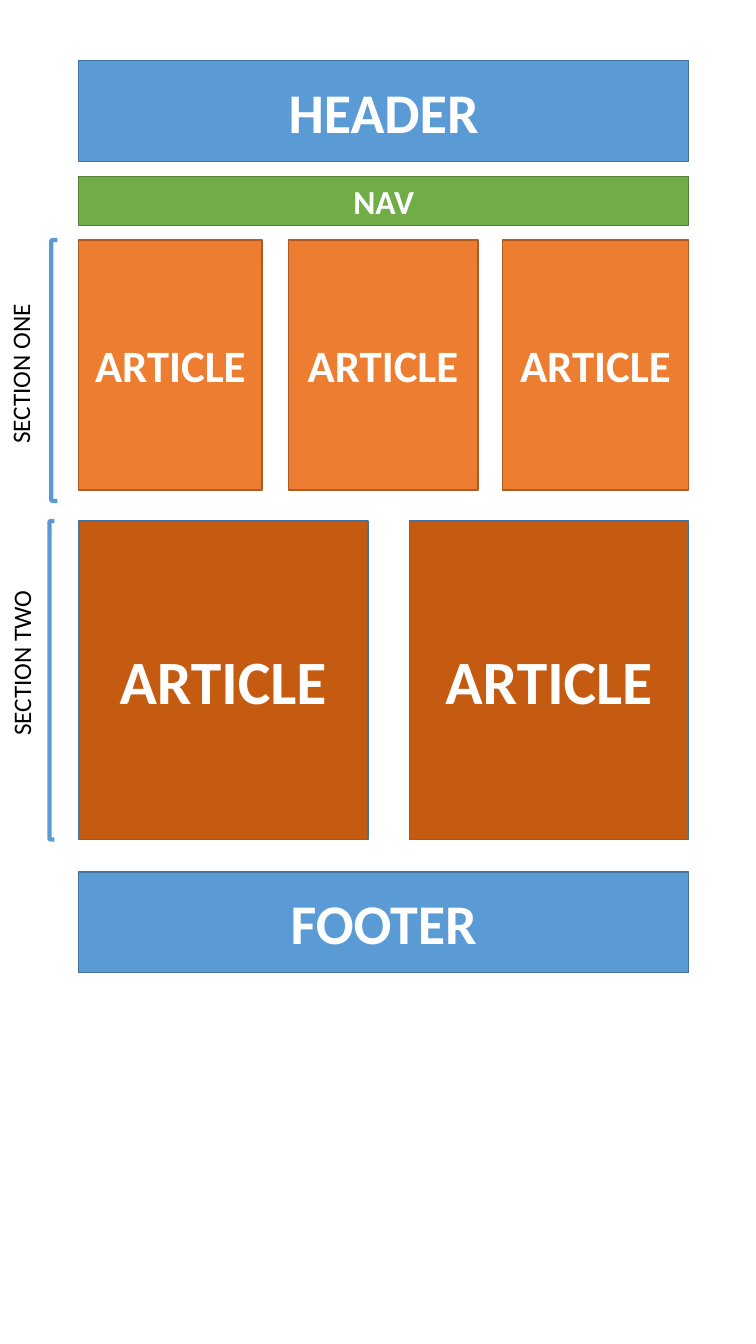
from pptx import Presentation
from pptx.dml.color import RGBColor
from pptx.enum.shapes import MSO_SHAPE
from pptx.enum.text import MSO_ANCHOR, MSO_AUTO_SIZE, PP_ALIGN
from pptx.util import Pt

BLUE = RGBColor(0x5B, 0x9B, 0xD5)
BLUE_EDGE = RGBColor(0x43, 0x73, 0x9E)
GREEN = RGBColor(0x70, 0xAD, 0x47)
GREEN_EDGE = RGBColor(0x53, 0x80, 0x35)
ORANGE = RGBColor(0xED, 0x7D, 0x31)
ORANGE_EDGE = RGBColor(0xAF, 0x5C, 0x24)
RUST = RGBColor(0xC5, 0x5A, 0x11)
WHITE = RGBColor(0xFF, 0xFF, 0xFF)
BLACK = RGBColor(0x00, 0x00, 0x00)
FONT = "Calibri"

# Content: page rows as (top, height, fill, edge, text size, blocks),
# each block as (text, left, width), in points
PAGE_LEFT, PAGE_WIDTH = 56.2, 435.6
ROWS = [
    (43.2, 72, BLUE, BLUE_EDGE, 40, [("HEADER", PAGE_LEFT, PAGE_WIDTH)]),
    (126, 35.3, GREEN, GREEN_EDGE, 24, [("NAV", PAGE_LEFT, PAGE_WIDTH)]),
    (171.4, 178.6, ORANGE, ORANGE_EDGE, 32, [
        ("ARTICLE", PAGE_LEFT, 131),
        ("ARTICLE", 205.9, 135.4),
        ("ARTICLE", 358.8, 133),
    ]),
    (372.2, 227.5, RUST, BLUE_EDGE, 44, [
        ("ARTICLE", PAGE_LEFT, 206.6),
        ("ARTICLE", 292.6, 199.2),
    ]),
    (622.8, 72, BLUE, BLUE_EDGE, 40, [("FOOTER", PAGE_LEFT, PAGE_WIDTH)]),
]

# Sections: (name, label left, label top, bracket left, top, width, height)
SECTIONS = [
    ("SECTION ONE", 0, 161.3, 36.7, 171.4, 4.3, 186.5),
    ("SECTION TWO", 0.7, 367.9, 35.3, 372.2, 3.6, 227.5),
]
LABEL_WIDTH, LABEL_HEIGHT = 36, 211.7

deck = Presentation()
deck.slide_width, deck.slide_height = Pt(540), Pt(960)
page = deck.slides.add_slide(deck.slide_layouts[6])


def add_outlined(preset, bounds, edge, weight):
    outlined = page.shapes.add_shape(preset, *map(Pt, bounds))
    outlined.shadow.inherit = False
    outlined.line.color.rgb = edge
    outlined.line.width = Pt(weight)
    return outlined


def write(frame, text, size, color, bold=False):
    line = frame.paragraphs[0]
    line.text = text
    line.alignment = PP_ALIGN.CENTER
    line.font.name = FONT
    line.font.size = Pt(size)
    line.font.bold = bold
    line.font.color.rgb = color


# Page blocks
for top, height, fill, edge, size, blocks in ROWS:
    for text, left, width in blocks:
        block = add_outlined(MSO_SHAPE.RECTANGLE, (left, top, width, height), edge, 1)
        block.fill.solid()
        block.fill.fore_color.rgb = fill
        block.text_frame.vertical_anchor = MSO_ANCHOR.MIDDLE
        write(block.text_frame, text, size, WHITE, bold=True)

# Section brackets with labels reading upwards
for name, label_left, label_top, *bracket_bounds in SECTIONS:
    bracket = add_outlined(MSO_SHAPE.LEFT_BRACKET, bracket_bounds, BLUE, 3)
    bracket.fill.background()
    label = page.shapes.add_textbox(
        Pt(label_left), Pt(label_top), Pt(LABEL_WIDTH), Pt(LABEL_HEIGHT))
    label.text_frame.word_wrap = True
    label.text_frame.auto_size = MSO_AUTO_SIZE.SHAPE_TO_FIT_TEXT
    label.element.txBody.bodyPr.set("vert", "vert270")
    write(label.text_frame, name, 18, BLACK)

deck.save("out.pptx")
